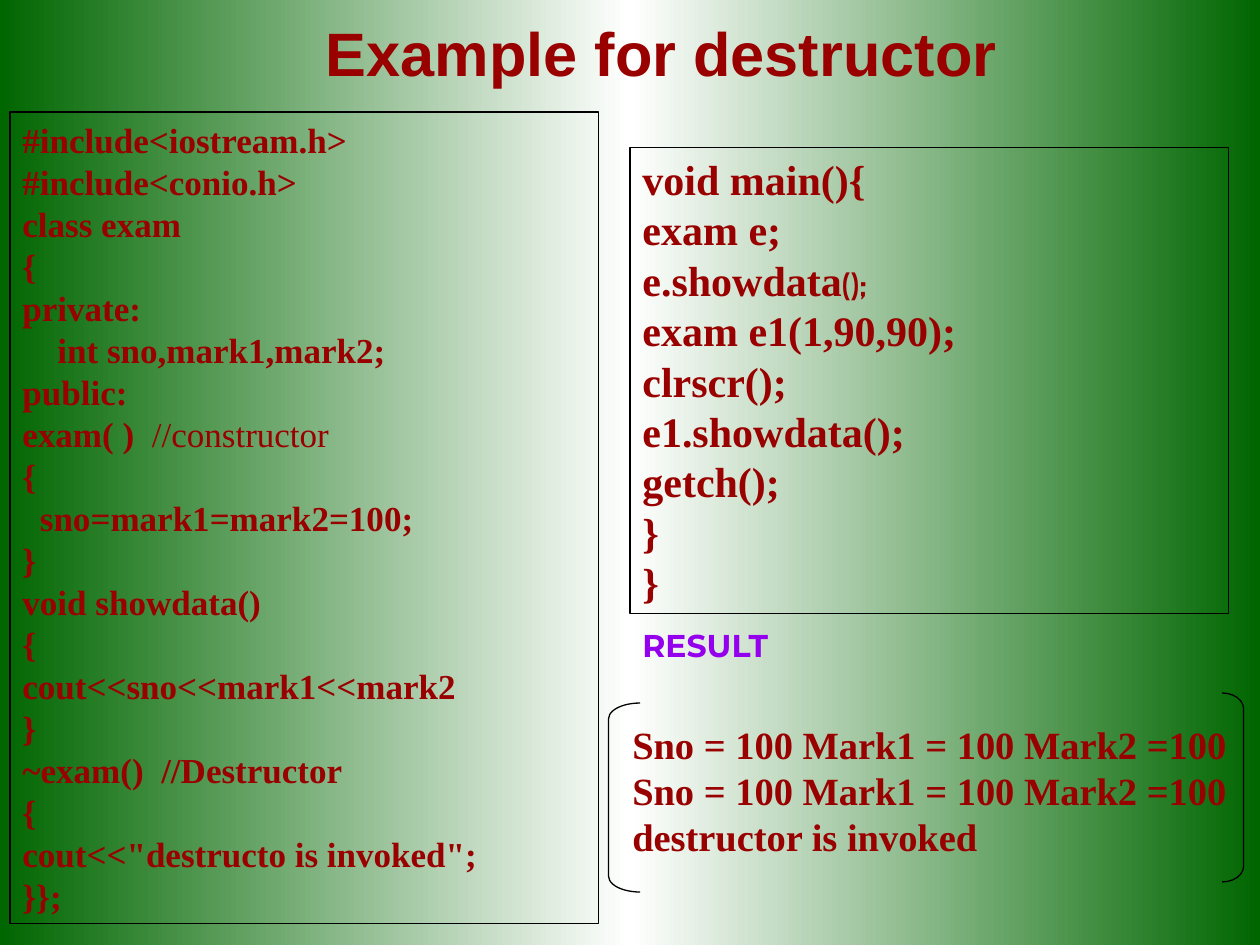
import copy

import pptx
import pptx.dml.color
import pptx.enum.shapes
import pptx.enum.text
import pptx.oxml.ns
import pptx.util
from pptx.util import Inches

GREEN, WHITE, BLACK = "006600", "FFFFFF", "000000"
MAROON, VIOLET, BLUE = "990000", "9400ED", "0000FF"
SERIF = "Times New Roman"

CLASS_CODE = """#include<iostream.h>
#include<conio.h>
class exam
{
private:
    int sno,mark1,mark2;
public:
exam( )  //constructor
{
  sno=mark1=mark2=100;
}
void showdata()
{
cout<<sno<<mark1<<mark2
}
~exam()  //Destructor
{
cout<<"destructo is invoked";
}};"""

MAIN_CODE = """void main(){
exam e;
e.showdata();
exam e1(1,90,90);
clrscr();
e1.showdata();
getch();
}
}"""

OUTPUT = """Sno = 100 Mark1 = 100 Mark2 =100
Sno = 100 Mark1 = 100 Mark2 =100
destructor is invoked"""


def rgb(hex_color):
    return pptx.dml.color.RGBColor.from_string(hex_color)


def style(font, name, size, color=MAROON, bold=True):
    font.name = name
    font.size = pptx.util.Pt(size)
    font.bold = bold
    font.color.rgb = rgb(color)


def color_stops(fill, colors):
    for stop, color in zip(fill.gradient_stops, colors):
        stop.color.rgb = rgb(color)


def paint_background(slide):
    """Fade from green at both sides to white in the middle."""
    fill = slide.background.fill
    fill.gradient()
    fill.gradient_angle = 180
    first = next(slide.element.iter(pptx.oxml.ns.qn("a:gs")))
    middle = copy.deepcopy(first)
    middle.set("pos", "50000")
    first.addnext(middle)
    color_stops(fill, [GREEN, WHITE, GREEN])


def add_heading(slide, box):
    heading = slide.shapes.title
    heading.left, heading.top, heading.width, heading.height = map(Inches, box)
    frame = heading.text_frame
    frame.text = "Example for destructor"
    frame.auto_size = pptx.enum.text.MSO_AUTO_SIZE.NONE
    frame.vertical_anchor = pptx.enum.text.MSO_ANCHOR.MIDDLE
    paragraph = frame.paragraphs[0]
    paragraph.alignment = pptx.enum.text.PP_ALIGN.CENTER
    paragraph.line_spacing = 0.85
    style(paragraph.font, "Arial", 35)


def outline(shape):
    shape.shadow.inherit = False
    shape.fill.background()
    shape.line.color.rgb = rgb(BLACK)
    shape.line.width = pptx.util.Pt(0.75)


def write_lines(shape, text, size, accents=None):
    """Write one paragraph per line; accents maps a line to (its tail, tail font)."""
    accents = accents or {}
    frame = shape.text_frame
    frame.word_wrap = True
    frame.auto_size = pptx.enum.text.MSO_AUTO_SIZE.SHAPE_TO_FIT_TEXT
    frame.vertical_anchor = pptx.enum.text.MSO_ANCHOR.TOP
    for index, line in enumerate(text.split("\n")):
        paragraph = frame.add_paragraph() if index else frame.paragraphs[0]
        paragraph.alignment = pptx.enum.text.PP_ALIGN.LEFT
        if line in accents:
            tail, tail_font = accents[line]
            head_run, tail_run = paragraph.add_run(), paragraph.add_run()
            head_run.text, tail_run.text = line.removesuffix(tail), tail
            style(head_run.font, SERIF, size)
            style(tail_run.font, **tail_font)
        else:
            paragraph.add_run().text = line
            style(paragraph.font, SERIF, size)


def add_code_panel(slide, box, code, size, accents):
    panel = slide.shapes.add_shape(
        pptx.enum.shapes.MSO_SHAPE.RECTANGLE, *map(Inches, box))
    outline(panel)
    write_lines(panel, code, size, accents)


def add_result_label(slide, box):
    label = slide.shapes.add_textbox(*map(Inches, box))
    label.text_frame.word_wrap = False
    paragraph = label.text_frame.paragraphs[0]
    run = paragraph.add_run()
    run.text = "RESULT"
    style(run.font, "Montserrat", 18, VIOLET)
    run.font.fill.gradient()
    run.font.fill.gradient_angle = 180
    color_stops(run.font.fill, [VIOLET, BLUE])


def add_output(slide, box):
    """Program output between a left and a right bracket."""
    left, top, width, height = box
    text = slide.shapes.add_textbox(*map(Inches, (left + 0.09, top + 0.17, 5.17, 1.2)))
    write_lines(text, OUTPUT, 22)
    presets = pptx.enum.shapes.MSO_SHAPE
    brackets = [
        (presets.LEFT_BRACKET, left, top + 0.08, 0.25),
        (presets.RIGHT_BRACKET, left + width - 0.17, top, 0.17),
    ]
    for preset, x, y, depth in brackets:
        bracket = slide.shapes.add_shape(
            preset, Inches(x), Inches(y), Inches(depth), Inches(height))
        bracket.adjustments[0] = 0.125 / depth
        outline(bracket)


def main():
    deck = pptx.Presentation()
    deck.slide_width, deck.slide_height = Inches(10), Inches(7.5)
    slide = deck.slides.add_slide(deck.slide_layouts[5])
    paint_background(slide)
    add_heading(slide, (0.83, 0, 8.84, 0.92))
    constructor_note = dict(name=SERIF, size=20, bold=False)
    add_code_panel(slide, (0.08, 0.89, 4.67, 6.44), CLASS_CODE, 20,
                   {"exam( )  //constructor": (" //constructor", constructor_note)})
    add_code_panel(slide, (5, 1.17, 4.75, 3.7), MAIN_CODE, 24,
                   {"e.showdata();": ("();", dict(name="Cabin", size=18))})
    add_result_label(slide, (5, 4.92, 2, 0.5))
    add_output(slide, (4.83, 5.5, 5.04, 1.5))
    deck.save("out.pptx")


if __name__ == "__main__":
    main()
